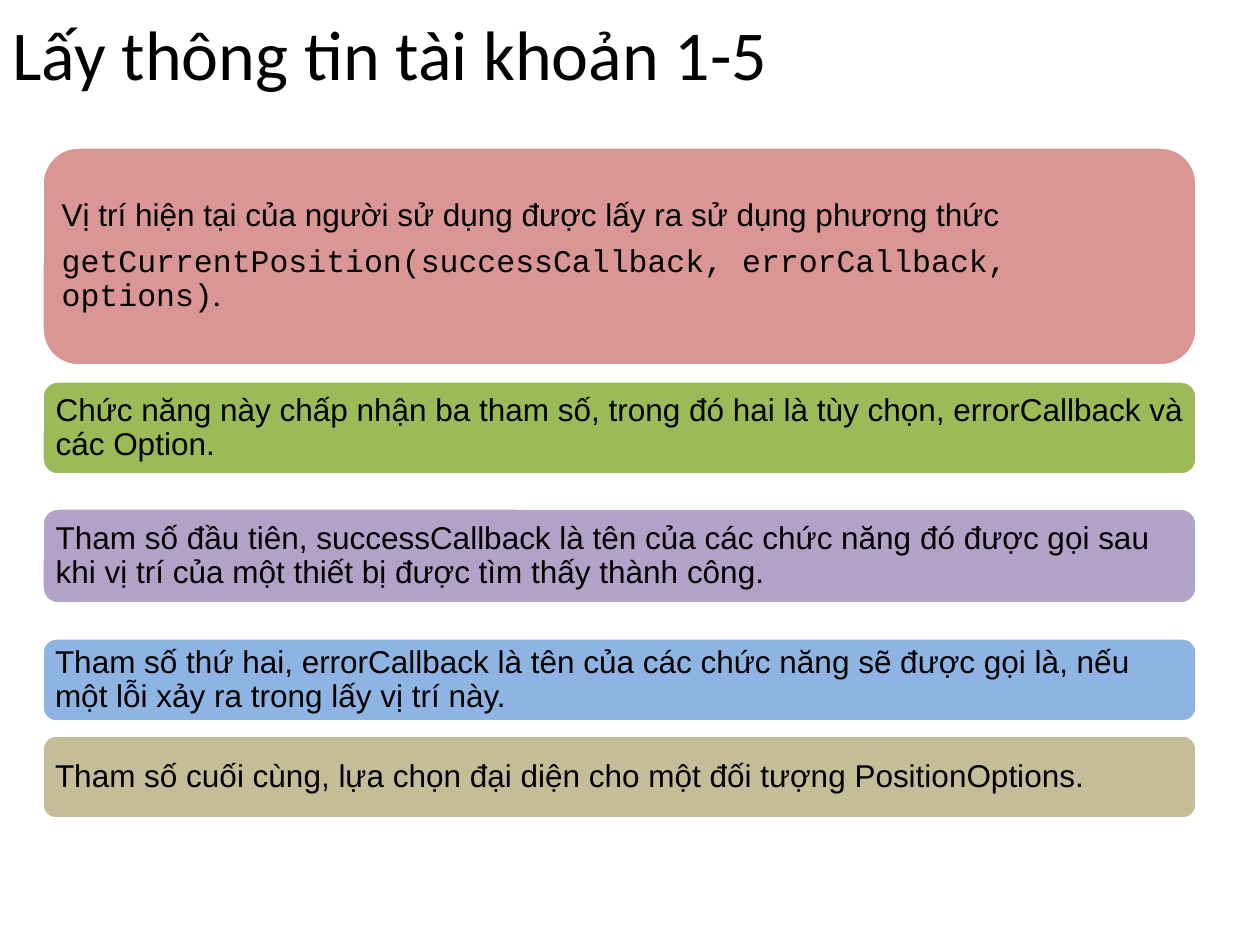
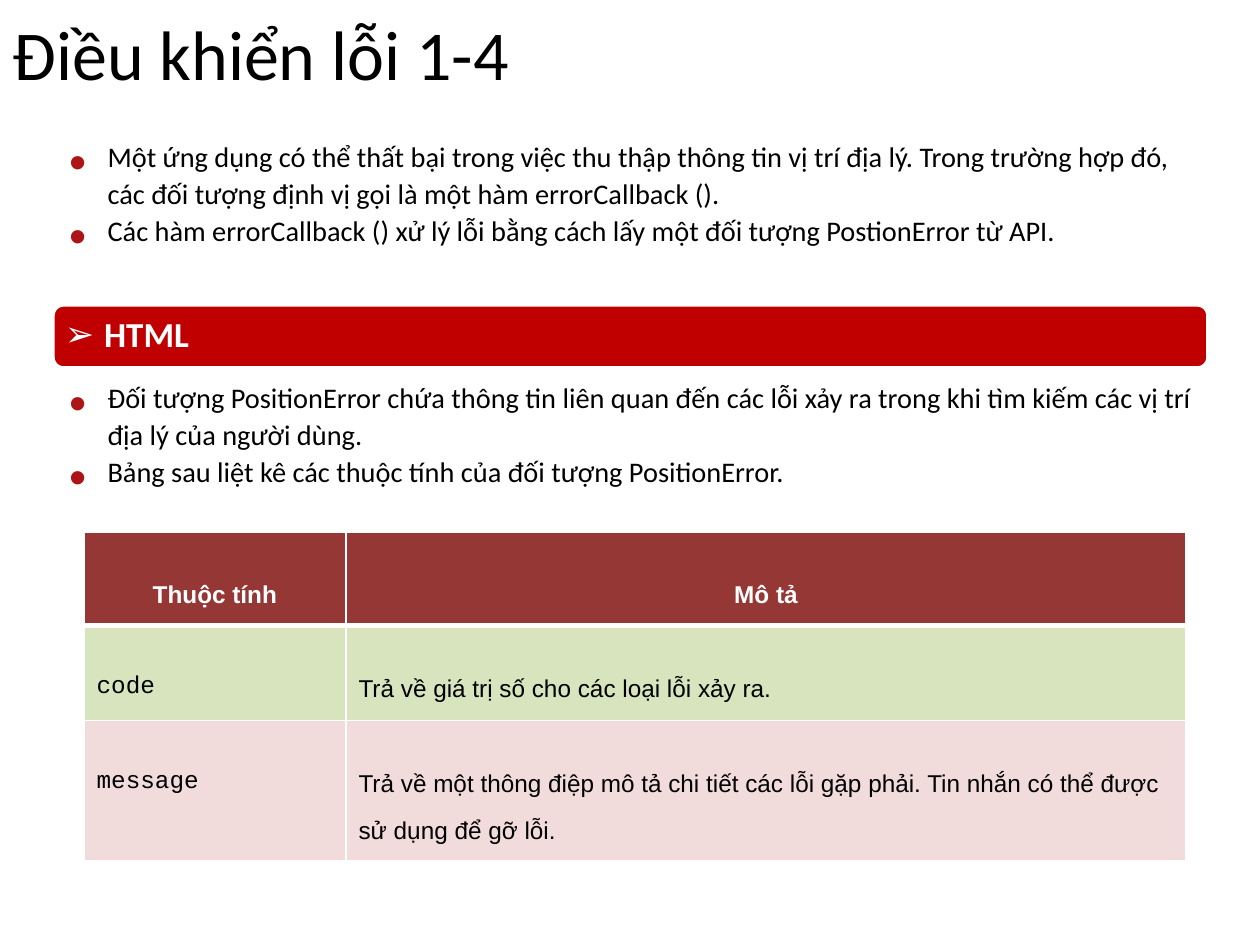
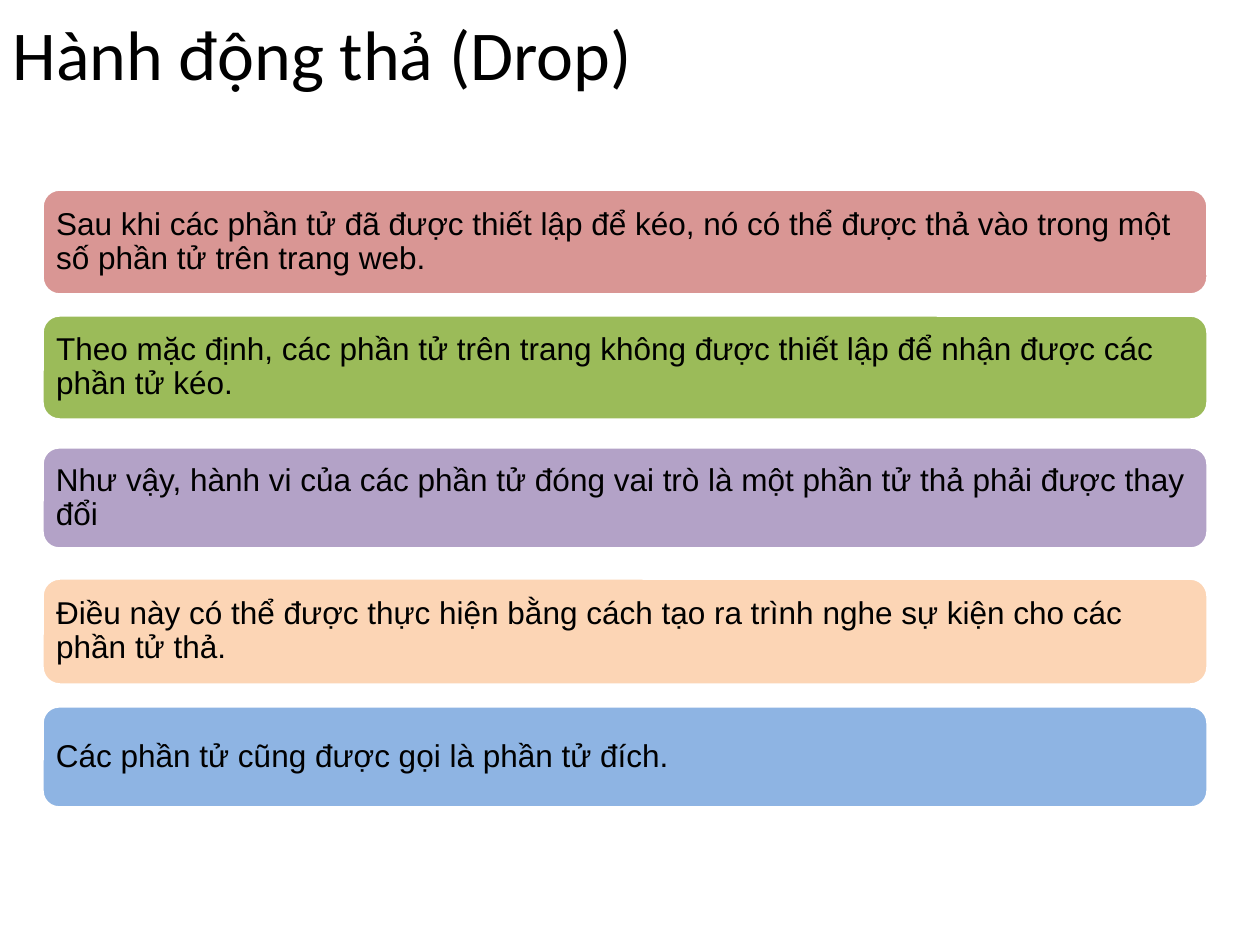
import dataclasses

import lxml.etree
import pptx
import pptx.dml.color
import pptx.enum.shapes
import pptx.enum.text
import pptx.oxml.ns
import pptx.util

PX = 914400 / 126
Pt = pptx.util.Pt
RGB = pptx.dml.color.RGBColor.from_string
qn = pptx.oxml.ns.qn
Sub = lxml.etree.SubElement


@dataclasses.dataclass(frozen=True)
class Theme:
    black: str = "000000"
    white: str = "FFFFFF"
    rose: str = "D99694"
    green: str = "9BBB59"
    plum: str = "B3A2C7"
    blue: str = "8EB4E3"
    sand: str = "C4BD97"
    peach: str = "FCD5B5"
    red: str = "C00000"
    dot: str = "AC1418"
    head: str = "953735"
    lime: str = "D7E4BD"
    blush: str = "F2DCDB"
    sans: str = "Calibri"
    plain: str = "Arial"
    code: str = "Courier New"
    title: int = 40
    list: int = 28
    cell: int = 24
    band: int = 20
    note: int = 18


look = Theme()


def text(frame, paras, size=look.note, font=look.plain, color=look.black,
         bold=False, align="LEFT", gap=None, after=0, level=0, indent=None,
         mark=None, tint=None, lift=0):
    frame.word_wrap = True
    frame.auto_size = pptx.enum.text.MSO_AUTO_SIZE.NONE
    frame.vertical_anchor = pptx.enum.text.MSO_ANCHOR.MIDDLE
    for i, runs in enumerate(paras):
        para = frame.add_paragraph() if i else frame.paragraphs[0]
        para.alignment = getattr(pptx.enum.text.PP_ALIGN, align)
        para.level = level
        para.space_before, para.space_after = Pt(0), Pt(after)
        para.line_spacing = gap
        props = para._p.get_or_add_pPr()
        if indent:
            props.set("marL", str(round(indent[0] * PX)))
            props.set("indent", str(round(indent[1] * PX)))
        if mark:
            if tint:
                Sub(Sub(props, qn("a:buClr")), qn("a:srgbClr")).set("val", tint)
            Sub(props, qn("a:buFont")).set("typeface", look.plain)
            Sub(props, qn("a:buChar")).set("char", mark)
        for words, face in [(runs, font)] if isinstance(runs, str) else runs:
            run = para.add_run()
            run.text = words
            run.font.name = face
            run.font.size = Pt(size)
            run.font.bold = bold
            run.font.color.rgb = RGB(color)
            if lift:
                run._r.get_or_add_rPr().set("baseline", str(lift * 1000))


def place(shape, *area):
    shape.left, shape.top, shape.width, shape.height = [round(n * PX) for n in area]
    return shape


deck = pptx.Presentation()
deck.slide_width, deck.slide_height = round(1260 * PX), round(945 * PX)

pages = [
    ("Lấy thông tin tài khoản 1-5", 5, [
        (42, 147, 1155, 219, look.rose, [
            "Vị trí hiện tại của người sử dụng được lấy ra sử dụng phương thức",
            [("getCurrentPosition(successCallback, errorCallback, options)", look.code),
             (".", look.sans)]]),
        (42, 381, 1155, 94, look.green, [
            "Chức năng này chấp nhận ba tham số, trong đó hai là tùy chọn, errorCallback và các Option."]),
        (42, 508, 1155, 96, look.plum, [
            "Tham số đầu tiên, successCallback là tên của các chức năng đó được gọi sau khi vị trí của một thiết bị được tìm thấy thành công."]),
        (42, 638, 1155, 84, look.blue, [
            "Tham số thứ hai, errorCallback là tên của các chức năng sẽ được gọi là, nếu một lỗi xảy ra trong lấy vị trí này."]),
        (42, 735, 1155, 84, look.sand, [
            "Tham số cuối cùng, lựa chọn đại diện cho một đối tượng PositionOptions."]),
    ]),
    ("Điều khiển lỗi 1-4", 3, [
        (53, 305, 1155, 63, look.red, [[(" ", look.plain), ("HTML", look.sans)]]),
    ]),
    ("Hành động thả (Drop)", 5, [
        (42, 189, 1166, 106, look.rose, [
            "Sau khi các phần tử đã được thiết lập để kéo, nó có thể được thả vào trong một số phần tử trên trang web."]),
        (42, 315, 1166, 105, look.green, [
            "Theo mặc định, các phần tử trên trang không được thiết lập để nhận được các phần tử kéo."]),
        (42, 447, 1166, 102, look.plum, [
            "Như vậy, hành vi của các phần tử đóng vai trò là một phần tử thả phải được thay đổi"]),
        (42, 578, 1166, 107, look.peach, [
            "Điều này có thể được thực hiện bằng cách tạo ra trình nghe sự kiện cho các phần tử thả."]),
        (42, 706, 1166, 102, look.blue, [
            "Các phần tử cũng được gọi là phần tử đích."]),
    ]),
]

for name, layout, boxes in pages:
    slide = deck.slides.add_slide(deck.slide_layouts[layout])
    title = place(slide.shapes.title, 0, 0, 1166, 105)
    text(title.text_frame, [name], size=look.title, font=look.sans)
    for *area, fill, paras in boxes:
        box = slide.shapes.add_shape(
            pptx.enum.shapes.MSO_SHAPE.ROUNDED_RECTANGLE, 0, 0, 0, 0)
        place(box, *area)
        box.shadow.inherit = False
        box.fill.solid()
        box.fill.fore_color.rgb = RGB(fill)
        box.line.color.rgb = RGB(look.white)
        box.line.width = Pt(2)
        frame = box.text_frame
        for side in ("left", "top", "right", "bottom"):
            setattr(frame, "margin_" + side, round(9 * PX))
        style = {"gap": 0.9, "after": 7}
        if fill == look.red:
            style.update(size=look.band, color=look.white, bold=True, mark="➢")
        text(frame, paras, **style)

slide = deck.slides[1]
lists = [
    ((32, 95, 1155, 231), [
        "Một ứng dụng có thể thất bại trong việc thu thập thông tin vị trí địa lý. Trong trường hợp đó, các đối tượng định vị gọi là một hàm errorCallback ().",
        "Các hàm errorCallback () xử lý lỗi bằng cách lấy một đối tượng PostionError từ API."]),
    ((32, 378, 1187, 147), [
        "Đối tượng PositionError chứa thông tin liên quan đến các lỗi xảy ra trong khi tìm kiếm các vị trí địa lý của người dùng.",
        "Bảng sau liệt kê các thuộc tính của đối tượng PositionError."]),
]
for slot, (area, paras) in enumerate(lists, 1):
    body = place(slide.placeholders[slot], *area)
    text(body.text_frame, paras, size=look.list, font=look.sans, gap=Pt(21),
         level=1, indent=(63, -38), mark="•", tint=look.dot, lift=30)

rows = [
    (93, look.head, "Thuộc tính", "Mô tả"),
    (95, look.lime, "code", "Trả về giá trị số cho các loại lỗi xảy ra."),
    (140, look.blush, "message",
     "Trả về một thông điệp mô tả chi tiết các lỗi gặp phải. Tin nhắn có thể được sử dụng để gỡ lỗi."),
]
holder = slide.shapes.add_table(len(rows), 2, 0, 0, 0, 0)
place(holder, 84, 532, 1102, sum(row[0] for row in rows))
table = holder.table
table.first_row = table.horz_banding = False
for col, width in zip(table.columns, (262, 840)):
    col.width = round(width * PX)
for r, (height, fill, *words) in enumerate(rows):
    table.rows[r].height = round(height * PX)
    for c, word in enumerate(words):
        cell = table.cell(r, c)
        cell.margin_top, cell.margin_bottom = round(46 * PX), 0
        props = cell._tc.get_or_add_tcPr()
        for side in "LRTB":
            thick = (r, side) in ((0, "B"), (1, "T"))
            edge = Sub(props, qn("a:ln" + side), w=str(Pt(3 if thick else 1)))
            Sub(Sub(edge, qn("a:solidFill")), qn("a:srgbClr")).set("val", look.white)
        cell.fill.solid()
        cell.fill.fore_color.rgb = RGB(fill)
        style = {"size": look.cell, "gap": Pt(27), "lift": 30}
        if r == 0:
            style.update(color=look.white, bold=True, align="CENTER")
        elif c == 0:
            style.update(font=look.code)
        text(cell.text_frame, [word], **style)
        cell.text_frame.auto_size = None
        cell.vertical_anchor = pptx.enum.text.MSO_ANCHOR.TOP

deck.save("out.pptx")
